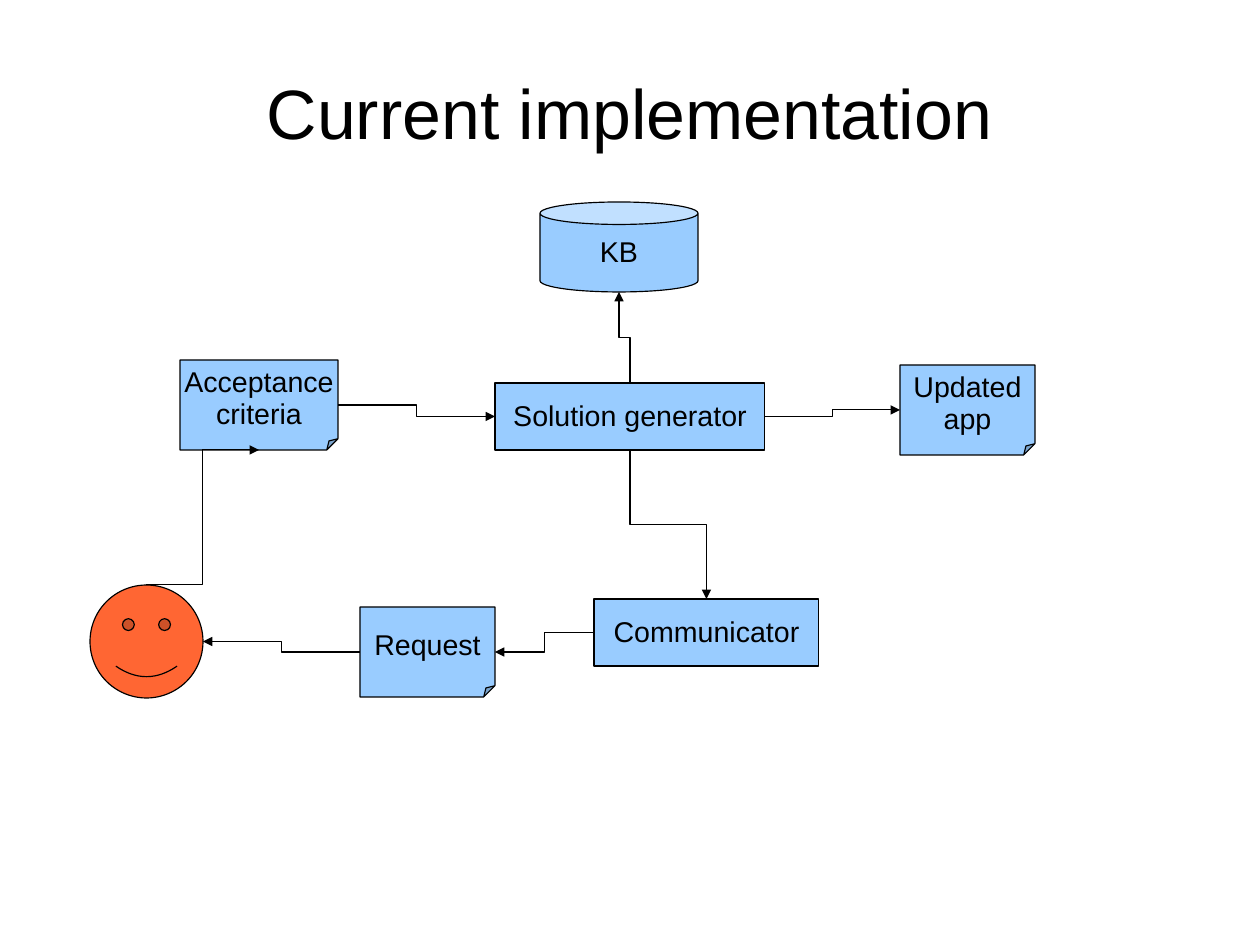
import pptx
import pptx.util
import pptx.dml.color
import pptx.enum.shapes
import pptx.enum.text
import pptx.oxml.ns
from dataclasses import dataclass
from lxml import etree

SHAPE = pptx.enum.shapes.MSO_SHAPE
PX = 8000


@dataclass(frozen=True)
class Theme:
    font: str = "Arial"
    ink: str = "000000"
    node: str = "99CCFF"
    user: str = "FF6633"
    title_size: int = 44
    label_size: int = 18
    line_width: float = 0.75
    line_spacing: float = 0.93


THEME = Theme()
FOLD = 12500

NODES = {
    "acceptance": (SHAPE.FOLDED_CORNER, (90, 158, 158, 90), "Acceptance\ncriteria"),
    "generator": (SHAPE.RECTANGLE, (405, 181, 270, 67), "Solution generator"),
    "communicator": (SHAPE.RECTANGLE, (504, 397, 225, 67), "Communicator"),
    "updated": (SHAPE.FOLDED_CORNER, (810, 163, 135, 90), "Updated\napp"),
    "request": (SHAPE.FOLDED_CORNER, (270, 405, 135, 90), "Request"),
    "kb": (SHAPE.CAN, (450, 0, 158, 90), "KB"),
    "user": (SHAPE.SMILEY_FACE, (0, 383, 113, 113), ""),
}

FLOWS = [
    ("acceptance", "right", "generator", "left", False),
    ("generator", "right", "updated", "left", False),
    ("generator", "top", "kb", "bottom", True),
    ("generator", "bottom", "communicator", "top", True),
    ("communicator", "left", "request", "right", False),
    ("request", "left", "user", "right", False),
    ("user", "top", "acceptance", "bottom", False),
]

SIDES = {"left": (0, 0.5), "right": (1, 0.5), "top": (0.5, 0), "bottom": (0.5, 1)}


def px(*lengths):
    return [pptx.util.Emu(n * PX) for n in lengths]


def rgb(value):
    return pptx.dml.color.RGBColor.from_string(value)


def write(tf, text, size):
    tf.text = text
    tf.vertical_anchor = pptx.enum.text.MSO_ANCHOR.MIDDLE
    for p in tf.paragraphs:
        p.alignment = pptx.enum.text.PP_ALIGN.CENTER
        p.line_spacing = THEME.line_spacing
        p.font.name = THEME.font
        p.font.size = pptx.util.Pt(size)
        p.font.color.rgb = rgb(THEME.ink)


def set_line(line):
    line.color.rgb = rgb(THEME.ink)
    line.width = pptx.util.Pt(THEME.line_width)


def add_title(s, box):
    tf = s.shapes.add_textbox(*px(*box)).text_frame
    tf.word_wrap = True
    tf.margin_left = tf.margin_right = tf.margin_top = tf.margin_bottom = 0
    write(tf, "Current implementation", THEME.title_size)


def add_node(s, kind, box, text, fill):
    sp = s.shapes.add_shape(kind, *px(*box))
    sp.shadow.inherit = False
    sp.fill.solid()
    sp.fill.fore_color.rgb = rgb(fill)
    set_line(sp.line)
    if kind == SHAPE.FOLDED_CORNER:
        guides = next(sp.element.iter(pptx.oxml.ns.qn("a:avLst")))
        for guide in list(guides):
            guides.remove(guide)
        etree.SubElement(guides, pptx.oxml.ns.qn("a:gd"), name="adj", fmla=f"val {FOLD}")
    if text:
        sp.text_frame.word_wrap = False
        write(sp.text_frame, text, THEME.label_size)
    return sp


def port(sp, side):
    fx, fy = SIDES[side]
    return sp.left + sp.width * fx, sp.top + sp.height * fy


def add_flow(s, start, end, vertical):
    (x1, y1), (x2, y2) = start, end
    dx, dy = x2 - x1, y2 - y1
    along, across = (-dy, dx) if vertical else (dx, dy)
    cx, cy = (x1 + x2) / 2, (y1 + y2) / 2
    ends = (cx - along / 2, cy - across / 2, cx + along / 2, cy + across / 2)
    flow = s.shapes.add_connector(
        pptx.enum.shapes.MSO_CONNECTOR.ELBOW, *[pptx.util.Emu(round(n)) for n in ends])
    set_line(flow.line)
    props = next(flow.element.iter(pptx.oxml.ns.qn("p:spPr")))
    if vertical:
        props.find(pptx.oxml.ns.qn("a:xfrm")).set("rot", str(270 * 60000))
    line = props.find(pptx.oxml.ns.qn("a:ln"))
    etree.SubElement(line, pptx.oxml.ns.qn("a:tailEnd"), type="triangle")
    etree.SubElement(props, pptx.oxml.ns.qn("a:effectLst"))


def add_diagram(s, box):
    left, top = box[:2]
    nodes = {}
    for name, (kind, (x, y, w, h), text) in NODES.items():
        fill = THEME.user if name == "user" else THEME.node
        nodes[name] = add_node(s, kind, (left + x, top + y, w, h), text, fill)
    for source, exit_side, target, entry_side, vertical in FLOWS:
        add_flow(s, port(nodes[source], exit_side), port(nodes[target], entry_side), vertical)


def main():
    prs = pptx.Presentation()
    prs.slide_width, prs.slide_height = px(1260, 945)
    s = prs.slides.add_slide(prs.slide_layouts[6])
    add_title(s, (63, 43, 1134, 146))
    add_diagram(s, (90, 202, 945, 496))
    prs.save("out.pptx")


if __name__ == "__main__":
    main()
